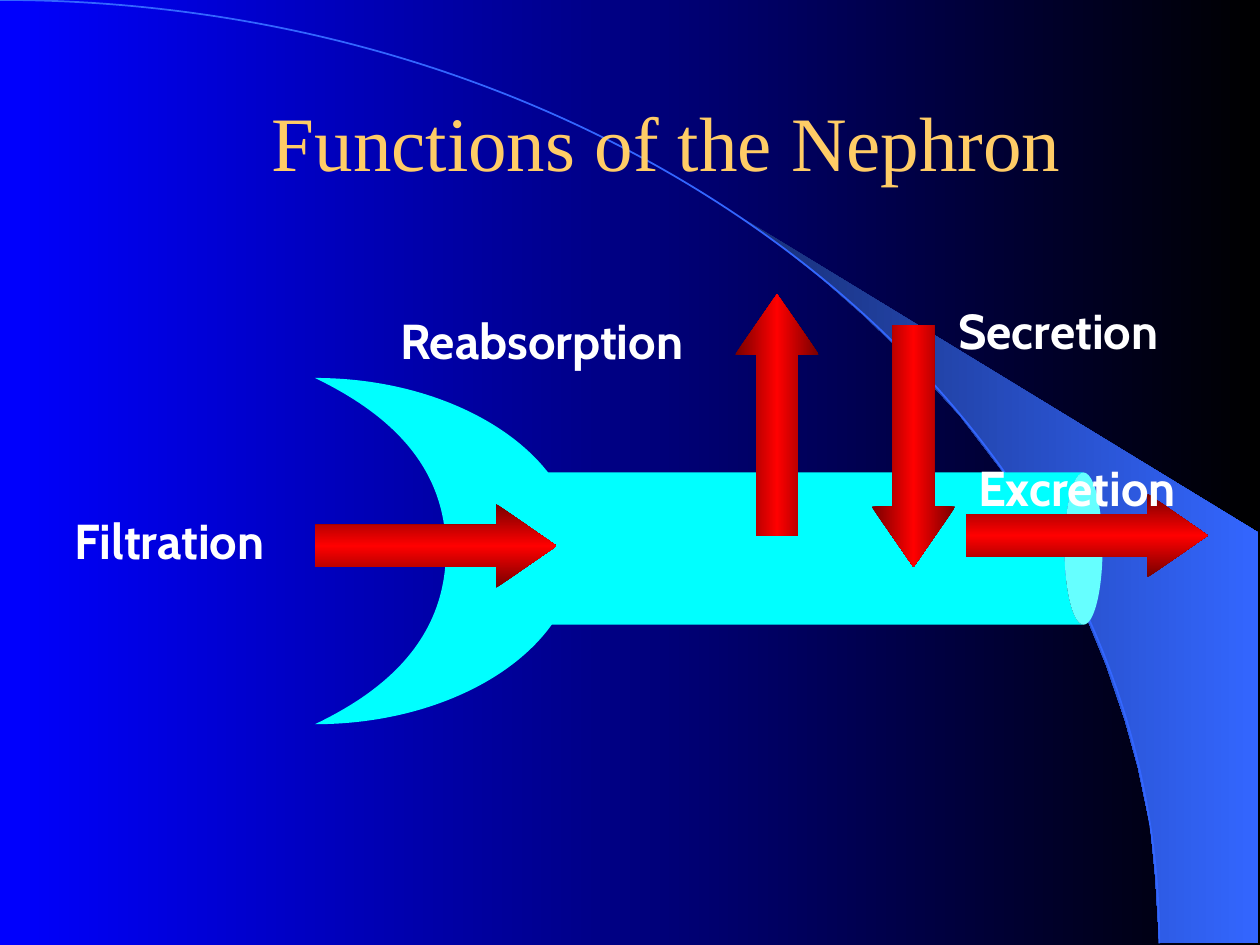
from copy import deepcopy

from lxml.etree import SubElement
from pptx import Presentation
from pptx.dml.color import RGBColor
from pptx.enum.shapes import MSO_SHAPE as Preset
from pptx.enum.text import MSO_ANCHOR as Anchor, MSO_AUTO_SIZE as AutoSize, PP_ALIGN as Align
from pptx.oxml.ns import qn
from pptx.util import Cm, Pt

BLUE = RGBColor(0x00, 0x00, 0xFF)
BLACK = RGBColor(0x00, 0x00, 0x00)
NAVY = RGBColor(0x18, 0x2F, 0x76)
SKY = RGBColor(0x33, 0x66, 0xFF)
GOLD = RGBColor(0xFF, 0xCC, 0x66)
CYAN = RGBColor(0x00, 0xFF, 0xFF)
MAROON = RGBColor(0x76, 0x00, 0x00)
RED = RGBColor(0xFF, 0x00, 0x00)
WHITE = RGBColor(0xFF, 0xFF, 0xFF)

TITLE = "Functions of the Nephron"
TITLE_FONT = {"name": "Times New Roman", "size": Pt(44), "bold": False}
LABEL_FONT = {"name": "Cabin", "size": Pt(28), "bold": True}
INSETS = {"margin_left": Cm(0.25), "margin_right": Cm(0.25),
          "margin_top": Cm(0.13), "margin_bottom": Cm(0.13)}

ARROW_SIZE = (4.87, 1.69)
LABEL_HEIGHT = 1.45
FLOWS = [
    {"name": "Filtration", "label": (1.25, 10.16, 5.1), "wrap": False, "arrow": (6.35, 10.16), "turn": 0},
    {"name": "Reabsorption", "label": (7.82, 6.14, 7.42), "wrap": True, "arrow": (13.23, 7.52), "turn": 270},
    {"name": "Secretion", "label": (19.07, 5.92, 5.16), "wrap": False, "arrow": (15.98, 8.15), "turn": 90},
    {"name": "Excretion", "label": (19.47, 9.09, 6.55), "wrap": True, "arrow": (19.48, 9.95), "turn": 0},
]

WEDGE = [
    (23.37, 19), (25.37, 19.02), (25.37, 10.74), (14.96, 4.39), (15.85, 5.05), (16.59, 5.64),
    (17.4, 6.35), (18.19, 7.11), (19.35, 8.38), (20.4, 9.75), (21.13, 10.95), (21.79, 12.17),
    (22.3, 13.41), (22.68, 14.53), (22.94, 15.47), (23.19, 16.66), (23.29, 17.68),
]
HORIZON = [(0, 0), (12.9, 0), (23.37, 8.51), (23.37, 19.02)]
CAPSULE = [
    (6.35, 14.6), (7.67, 13.97), (8.99, 12.95), (8.99, 11.1),
    (8.99, 9.27), (7.67, 8.26), (6.35, 7.62),
    (9.25, 7.62), (11.63, 9.2), (11.63, 11.1),
    (11.63, 13.03), (9.25, 14.6), (6.35, 14.6),
]
TUBULE = (14.24, 4.61, 3.07, 12.9)


def outline(points, close=True):
    spots = [(Cm(x), Cm(y)) for x, y in points]
    pen = slide.shapes.build_freeform(*spots[0], scale=1.0)
    pen.add_line_segments(spots[1:], close=close)
    drawn = pen.convert_to_shape()
    drawn.shadow.inherit = False
    return drawn


def curve(points, close=True):
    drawn = outline(points, close)
    track = drawn.element.find(".//" + qn("a:path"))
    lines = track.findall(qn("a:lnTo"))
    for first in range(0, len(points) - 1, 3):
        bend = SubElement(track, qn("a:cubicBezTo"))
        lines[first].addprevious(bend)
        for line in lines[first:first + 3]:
            bend.append(line[0])
            track.remove(line)
    return drawn


def shade(fill, root, colours, angle=0):
    fill.gradient()
    fill.gradient_angle = angle
    stop_list = root.find(".//" + qn("a:gsLst"))
    for _ in colours[2:]:
        stop_list.append(deepcopy(stop_list[0]))
    for place, (stop, colour) in enumerate(zip(fill.gradient_stops, colours)):
        stop.color.rgb = colour
        stop.position = place / (len(colours) - 1)


def paint(shape, colour):
    shape.fill.solid()
    shape.fill.fore_color.rgb = colour
    shape.line.fill.background()


def preset(kind, box, turn):
    added = slide.shapes.add_shape(kind, *map(Cm, box))
    added.rotation = turn
    added.shadow.inherit = False
    return added


def write(frame, words, font, colour, align):
    frame.text = words
    paragraph = frame.paragraphs[0]
    paragraph.alignment = align
    paragraph.space_before = Pt(0)
    for target, values in ((frame, INSETS), (paragraph.runs[0].font, font)):
        for key, value in values.items():
            setattr(target, key, value)
    paragraph.runs[0].font.color.rgb = colour


deck = Presentation()
deck.slide_width, deck.slide_height = Cm(25.4), Cm(19.05)
slide = deck.slides.add_slide(deck.slide_layouts[5])
shade(slide.background.fill, slide.element, [BLUE, BLACK])

wedge = outline(WEDGE)
shade(wedge.fill, wedge.element, [NAVY, SKY])
wedge.line.fill.background()
horizon = curve(HORIZON, close=False)
horizon.fill.background()
horizon.line.color.rgb = SKY
horizon.line.width = Pt(1)

title = slide.shapes.title
horizon.element.addnext(title.element)
title.left, title.top, title.width, title.height = map(Cm, (2.96, 0.84, 20.96, 3.99))
write(title.text_frame, TITLE, TITLE_FONT, GOLD, Align.CENTER)
title.text_frame.vertical_anchor = Anchor.MIDDLE

tubule = preset(Preset.CAN, TUBULE, 90)
tubule.adjustments[0] = 0.25
paint(tubule, CYAN)
paint(curve(CAPSULE), CYAN)

for layer in (FLOWS[:3], FLOWS[3:]):
    for flow in layer:
        arrow = preset(Preset.RIGHT_ARROW, flow["arrow"] + ARROW_SIZE, flow["turn"])
        arrow.adjustments[0], arrow.adjustments[1] = 0.5, 0.72
        shade(arrow.fill, arrow.element, [MAROON, RED, MAROON], 270)
        arrow.line.fill.background()
    for flow in layer:
        label = slide.shapes.add_textbox(*map(Cm, flow["label"] + (LABEL_HEIGHT,)))
        write(label.text_frame, flow["name"], LABEL_FONT, WHITE, Align.LEFT)
        label.text_frame.word_wrap = flow["wrap"]
        label.text_frame.auto_size = AutoSize.SHAPE_TO_FIT_TEXT

deck.save("out.pptx")
